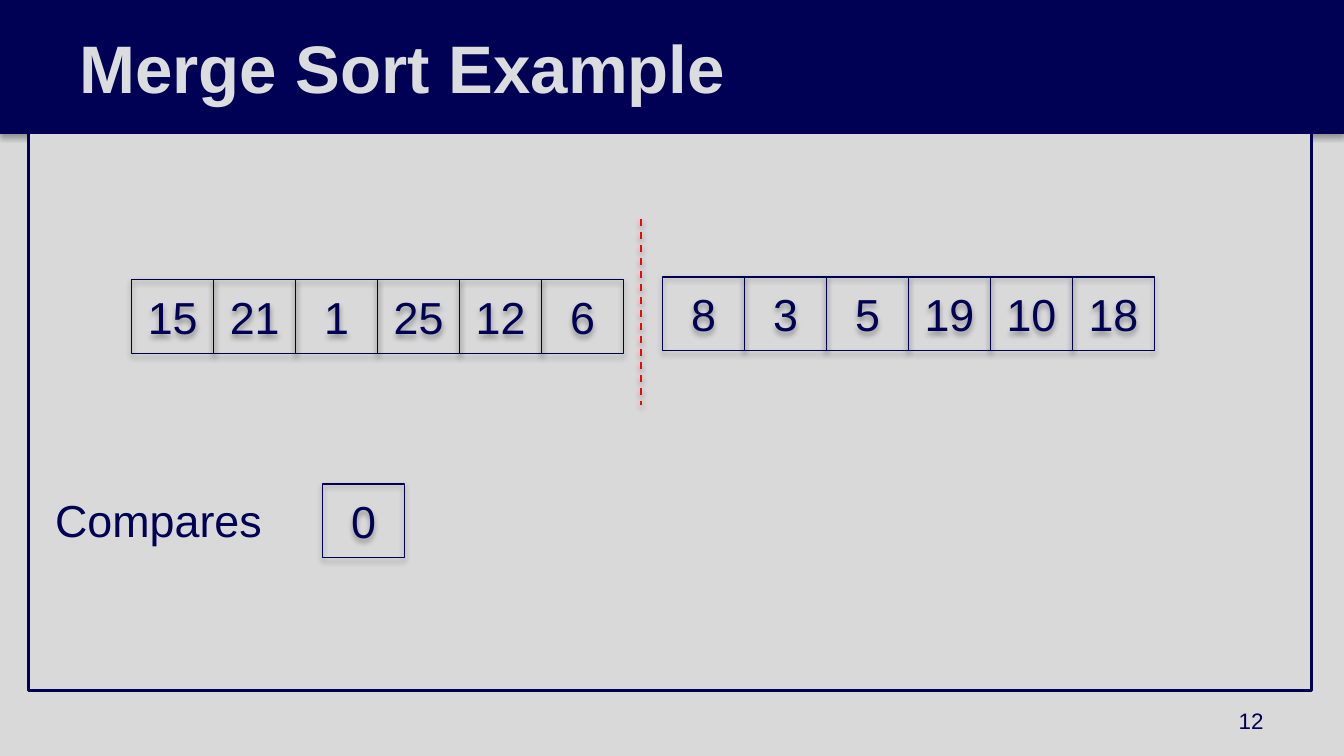
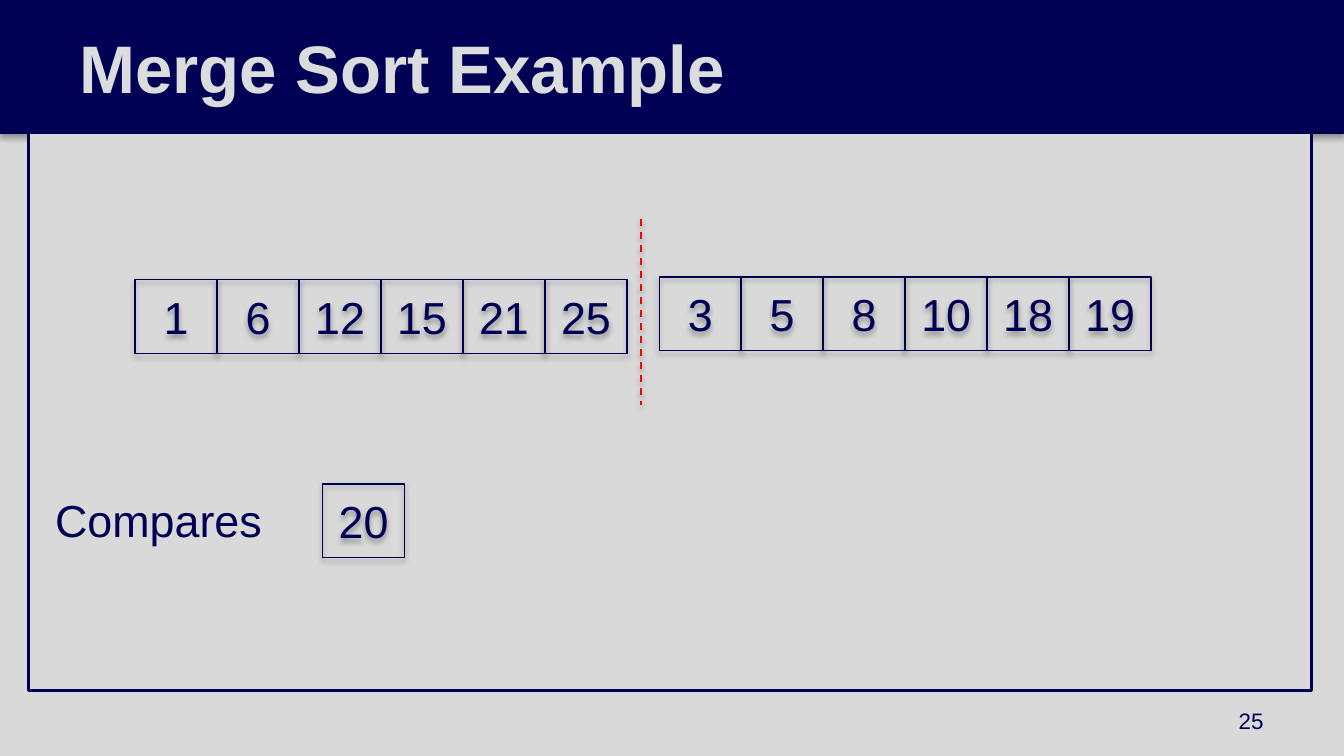
"""Build two merge sort slides: the split list and its sorted halves."""
from dataclasses import dataclass
from typing import Optional

import lxml.etree
import pptx
import pptx.dml.color
import pptx.enum.dml
import pptx.enum.shapes
import pptx.enum.text
import pptx.oxml.ns
import pptx.util

EMU_PER_PX = 4572
FONT = "Arial"
NAVY = pptx.dml.color.RGBColor(0x00, 0x00, 0x54)
OUTLINE = pptx.dml.color.RGBColor(0x00, 0x00, 0x52)
GRAY = pptx.dml.color.RGBColor(0xD9, 0xD9, 0xD9)
TITLE_GRAY = pptx.dml.color.RGBColor(0xDB, 0xDC, 0xDD)
RED = pptx.dml.color.RGBColor(0xFF, 0x00, 0x00)
LEFT, CENTER, RIGHT = (
    pptx.enum.text.PP_ALIGN.LEFT,
    pptx.enum.text.PP_ALIGN.CENTER,
    pptx.enum.text.PP_ALIGN.RIGHT,
)
TOP, MIDDLE = pptx.enum.text.MSO_ANCHOR.TOP, pptx.enum.text.MSO_ANCHOR.MIDDLE
CELL_WIDTH, CELL_HEIGHT = 122, 110


@dataclass(frozen=True)
class Box:
    left: int
    top: int
    width: int
    height: int


@dataclass(frozen=True)
class Half:
    left: int
    top: int
    values: tuple[int, ...]


@dataclass(frozen=True)
class Step:
    number: int
    halves: tuple[Half, Half]
    compares: int


BAND = Box(0, 0, 2000, 198)
TITLE = Box(0, 0, 1806, 198)
BODY = Box(42, 198, 1910, 830)
PAGE_NUMBER = Box(1434, 1042, 466, 60)
COUNTER = Box(480, 720, CELL_WIDTH, CELL_HEIGHT)
STEPS = (
    Step(12, (Half(196, 416, (15, 21, 1, 25, 12, 6)),
              Half(986, 412, (8, 3, 5, 19, 10, 18))), 0),
    Step(25, (Half(201, 416, (1, 6, 12, 15, 21, 25)),
              Half(981, 412, (3, 5, 8, 10, 18, 19))), 20),
)


def px(length: int) -> pptx.util.Emu:
    """Turn pixels into EMU."""
    return pptx.util.Emu(length * EMU_PER_PX)


def place(box: Box) -> tuple[pptx.util.Emu, ...]:
    """Give the position and size of a box in EMU."""
    return px(box.left), px(box.top), px(box.width), px(box.height)


def cast_shadow(shape, distance: float, opacity: int) -> None:
    """Put a soft shadow straight below a shape or connector."""
    qn = pptx.oxml.ns.qn
    properties = shape._element.spPr
    effects = properties.find(qn("a:effectLst"))
    if effects is None:
        effects = lxml.etree.SubElement(properties, qn("a:effectLst"))
    shadow = lxml.etree.SubElement(
        effects, qn("a:outerShdw"), blurRad=str(pptx.util.Pt(3.1)),
        dist=str(pptx.util.Pt(distance)), dir="5400000", rotWithShape="0")
    black = lxml.etree.SubElement(shadow, qn("a:srgbClr"), val="000000")
    lxml.etree.SubElement(black, qn("a:alpha"), val=str(opacity * 1000))


def add_rectangle(
    slide, box: Box, *,
    fill: Optional[pptx.dml.color.RGBColor] = None,
    line: Optional[pptx.dml.color.RGBColor] = None,
    weight: float = 0.75, shadow: bool = False,
):
    """Draw a rectangle with optional fill, outline and shadow."""
    shape = slide.shapes.add_shape(
        pptx.enum.shapes.MSO_SHAPE.RECTANGLE, *place(box))
    shape.shadow.inherit = False
    if fill is None:
        shape.fill.background()
    else:
        shape.fill.solid()
        shape.fill.fore_color.rgb = fill
    if line is None:
        shape.line.fill.background()
    else:
        shape.line.color.rgb = line
        shape.line.width = pptx.util.Pt(weight)
    if shadow:
        cast_shadow(shape, 1.8, 35)
    return shape


def write(
    shape, text: str, *, size: int = 24,
    color: pptx.dml.color.RGBColor = NAVY, bold: bool = False,
    align: pptx.enum.text.PP_ALIGN = CENTER,
    anchor: pptx.enum.text.MSO_ANCHOR = MIDDLE,
    margins: tuple[int, int, int, int] = (20, 10, 20, 10),
) -> None:
    """Write one formatted paragraph; margins run left, top, right, bottom."""
    frame = shape.text_frame
    frame.word_wrap = True
    frame.vertical_anchor = anchor
    (frame.margin_left, frame.margin_top,
     frame.margin_right, frame.margin_bottom) = map(px, margins)
    paragraph = frame.paragraphs[0]
    paragraph.alignment = align
    run = paragraph.add_run()
    run.text = text
    run.font.name = FONT
    run.font.size = pptx.util.Pt(size)
    run.font.bold = bold
    run.font.color.rgb = color


def add_base(slide, number: int) -> None:
    """Draw the background, band, body frame, title and page number."""
    slide.background.fill.solid()
    slide.background.fill.fore_color.rgb = GRAY
    add_rectangle(slide, BAND, fill=NAVY, line=OUTLINE, shadow=True)
    body = add_rectangle(slide, BODY, fill=GRAY, line=NAVY, weight=1.5)
    write(body, "Compares", align=LEFT, anchor=TOP, margins=(40, 535, 40, 20))
    title = add_rectangle(slide, TITLE, fill=NAVY)
    write(title, "Merge Sort Example", size=36, color=TITLE_GRAY, bold=True,
          align=LEFT, margins=(118, 20, 80, 20))
    page_number = slide.shapes.add_textbox(*place(PAGE_NUMBER))
    write(page_number, str(number), size=12, align=RIGHT)


def add_cell(slide, box: Box, value: int) -> None:
    """Draw one outlined cell holding a number."""
    write(add_rectangle(slide, box, line=OUTLINE, shadow=True), str(value))


def add_half(slide, half: Half) -> None:
    """Draw a half of the list as a row of touching cells."""
    for index, value in enumerate(half.values):
        left = half.left + index * CELL_WIDTH
        add_cell(slide, Box(left, half.top, CELL_WIDTH, CELL_HEIGHT), value)


def add_divider(slide) -> None:
    """Draw the dashed line between the halves."""
    divider = slide.shapes.add_connector(
        pptx.enum.shapes.MSO_CONNECTOR.STRAIGHT,
        px(954), px(326), px(954), px(602))
    divider.line.color.rgb = RED
    divider.line.width = pptx.util.Pt(1)
    divider.line.dash_style = pptx.enum.dml.MSO_LINE.DASH
    cast_shadow(divider, 1.6, 38)


def main() -> None:
    """Build and save the presentation."""
    presentation = pptx.Presentation()
    presentation.slide_width, presentation.slide_height = px(2000), px(1125)
    for step in STEPS:
        slide = presentation.slides.add_slide(presentation.slide_layouts[6])
        add_base(slide, step.number)
        for half in step.halves:
            add_half(slide, half)
        add_cell(slide, COUNTER, step.compares)
        add_divider(slide)
    presentation.save("out.pptx")


if __name__ == "__main__":
    main()
